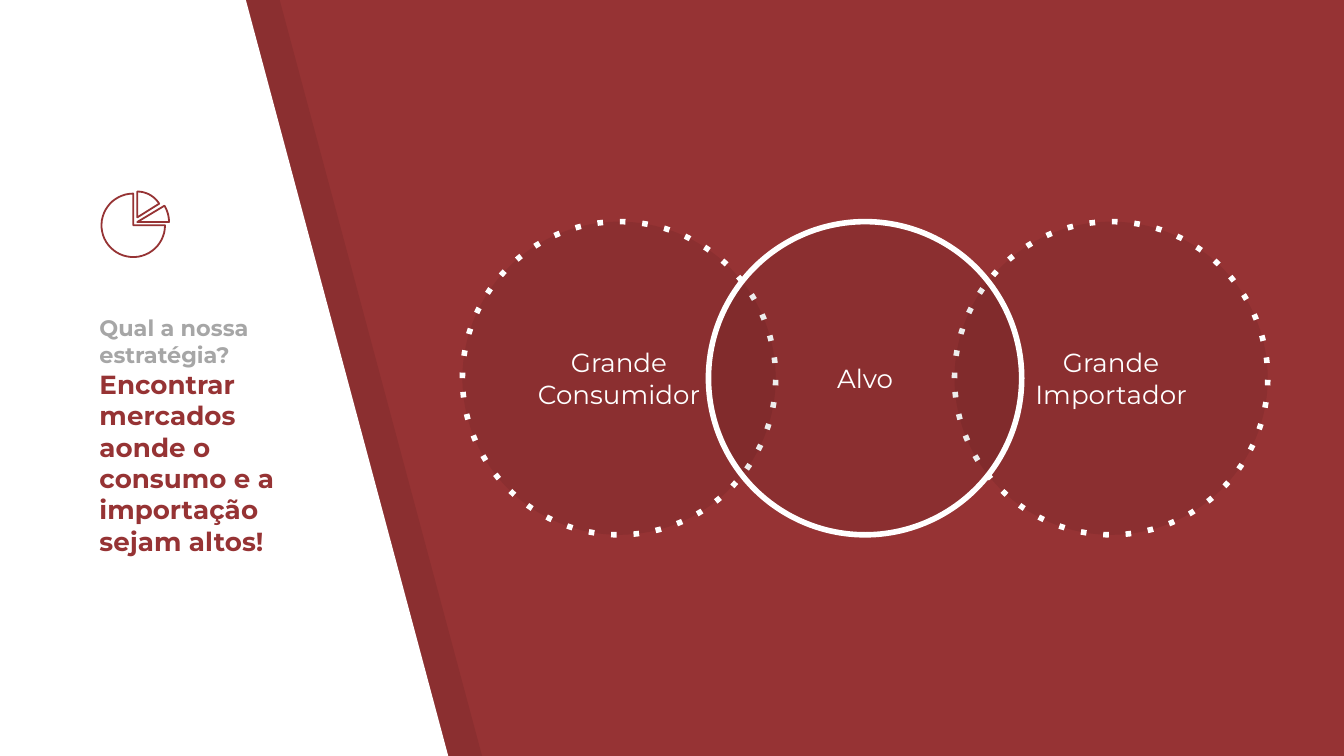
from math import cos, radians, sin

from lxml.etree import SubElement
from pptx import Presentation
from pptx.dml.color import RGBColor
from pptx.enum.shapes import MSO_SHAPE as SHAPE
from pptx.enum.text import MSO_ANCHOR as ANCHOR, MSO_AUTO_SIZE as AUTO, PP_ALIGN as ALIGN
from pptx.oxml.ns import qn
from pptx.util import Cm, Pt

COLORS = {"red": "963334", "white": "FFFFFF", "gray": "A6A6A6", "shade": "000000"}
FONT = "Montserrat"
SHADE_ALPHA = 7


def rgb(name):
    """Return the palette colour as an RGBColor."""
    return RGBColor.from_string(COLORS[name])


def set_attrs(obj, values):
    """Set each attribute of obj from a dict."""
    for name, value in values.items():
        setattr(obj, name, value)


def fill_shape(sp, color, alpha=None):
    """Fill a shape with a palette colour, optionally at alpha percent."""
    sp.shadow.inherit = False
    sp.fill.solid()
    sp.fill.fore_color.rgb = rgb(color)
    if alpha:
        clr = sp.element.spPr.find(qn("a:solidFill"))[0]
        SubElement(clr, qn("a:alpha"), val=str(alpha * 1000))


def outline(sp, color, width, dash=None):
    """Draw a shape's outline, optionally with a preset dash."""
    sp.line.color.rgb = rgb(color)
    sp.line.width = Pt(width)
    if dash:
        SubElement(sp.element.spPr.find(qn("a:ln")), qn("a:prstDash"), val=dash)


def add_polygon(shapes, points):
    """Add a closed freeform through points given in centimetres."""
    pts = [(Cm(x), Cm(y)) for x, y in points]
    fb = shapes.build_freeform(*pts[0], scale=1.0)
    fb.add_line_segments(pts[1:], close=True)
    return fb.convert_to_shape()


def add_run(p, text, size, color, bold=False):
    """Append a formatted run to a paragraph."""
    r = p.add_run()
    r.text = text
    set_attrs(r.font, {"name": FONT, "size": Pt(size), "bold": bold})
    r.font.color.rgb = rgb(color)


def add_side_panel(slide, box):
    """Place the slanted white panel and its shaded edge."""
    x, y, w, h = box
    slant, edge = 3.84, 0.64
    for dx, color, alpha in ((edge, "shade", SHADE_ALPHA), (0, "white", None)):
        left, right = x + dx, x + dx + w
        points = [(left, y), (left, y + h), (right, y + h), (right - slant, y)]
        sp = add_polygon(slide.shapes, points)
        fill_shape(sp, color, alpha)
        sp.line.fill.background()


def add_pie_icon(slide, box):
    """Place the outlined pie icon with two pulled-out slices."""
    x, y, size = box
    group = slide.shapes.add_group_shape()
    slices = ((0.48, 0.52, 0.48, 0, 270), (0.54, 0.4, 0.39, 270, 328), (0.54, 0.47, 0.48, 329, 360))
    for cx, cy, radius, start, end in slices:
        cx, cy, radius = x + cx * size, y + cy * size, radius * size
        arc = [radians(start + (end - start) * i / 40) for i in range(41)]
        points = [(cx, cy)] + [(cx + radius * cos(a), cy + radius * sin(a)) for a in arc]
        sp = add_polygon(group.shapes, points)
        sp.shadow.inherit = False
        sp.fill.background()
        outline(sp, "red", 0.96)


def place_title(slide, box):
    """Move the title placeholder to the front and fill in question and answer."""
    sp = slide.shapes.title
    sp.element.getparent().append(sp.element)
    set_attrs(sp, dict(zip(("left", "top", "width", "height"), map(Cm, box))))
    tf = sp.text_frame
    insets = {f"margin_{side}": Cm(0.25) for side in ("left", "top", "right", "bottom")}
    set_attrs(tf, {"word_wrap": True, "auto_size": AUTO.NONE, "vertical_anchor": ANCHOR.BOTTOM, **insets})
    p = tf.paragraphs[0]
    p.alignment = ALIGN.LEFT
    add_run(p, "Qual a nossa estratégia?", 12, "gray", True)
    p.add_line_break()
    add_run(p, "Encontrar mercados aonde o consumo e a importação sejam altos!", 14, "red", True)


def add_circles(slide, box):
    """Place the three overlapping circles, with the target in front."""
    x, y, w, d = box
    step = (w - d) / 2
    circles = (
        (0, ("Grande", "Consumidor"), "dot"),
        (2, ("Grande", "Importador"), "dot"),
        (1, ("Alvo",), None),
    )
    for col, lines, dash in circles:
        sp = slide.shapes.add_shape(SHAPE.OVAL, Cm(x + col * step), Cm(y), Cm(d), Cm(d))
        fill_shape(sp, "shade", SHADE_ALPHA)
        outline(sp, "white", 3, dash)
        tf = sp.text_frame
        set_attrs(tf, {"word_wrap": True, "vertical_anchor": ANCHOR.MIDDLE})
        for i, line in enumerate(lines):
            p = tf.add_paragraph() if i else tf.paragraphs[0]
            p.alignment = ALIGN.CENTER
            add_run(p, line, 14, "white")


def main():
    """Build and save the strategy slide."""
    prs = Presentation()
    set_attrs(prs, {"slide_width": Cm(25.4), "slide_height": Cm(14.29)})
    slide = prs.slides.add_slide(prs.slide_layouts[5])
    slide.background.fill.solid()
    slide.background.fill.fore_color.rgb = rgb("red")
    add_side_panel(slide, (-0.05, -0.03, 8.53, 14.35))
    place_title(slide, (1.63, 9.42, 4.47, 1.35))
    add_circles(slide, (8.74, 4.19, 15.22, 5.92))
    add_pie_icon(slide, (1.92, 3.61, 1.25))
    prs.save("out.pptx")


if __name__ == "__main__":
    main()
